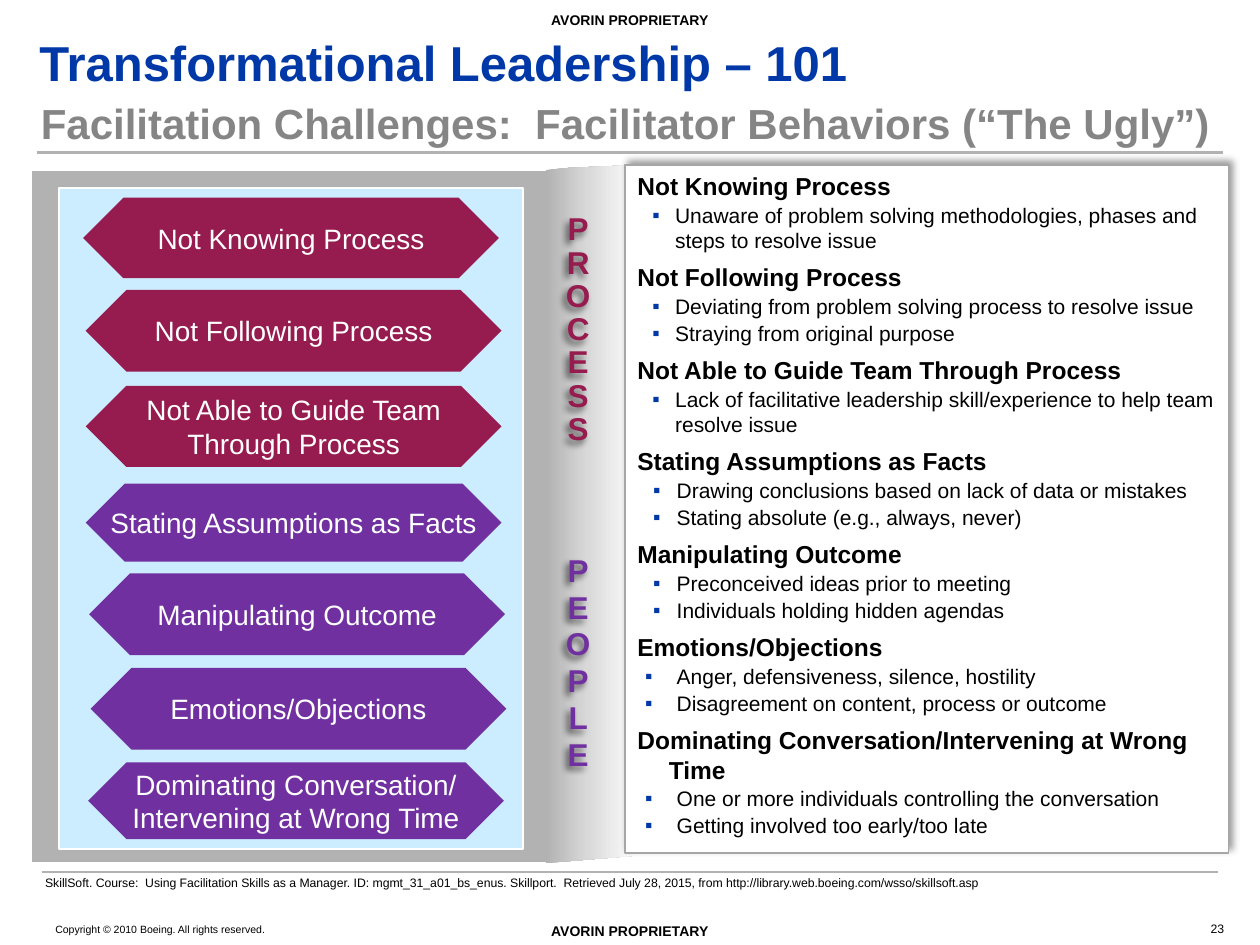
import copy
from dataclasses import dataclass

import pptx
import pptx.dml.color
import pptx.enum.shapes
import pptx.enum.text
import pptx.oxml
import pptx.oxml.ns
import pptx.util

Pt = pptx.util.Pt
ALIGN = pptx.enum.text.PP_ALIGN
ANCHOR = pptx.enum.text.MSO_ANCHOR
SHAPE = pptx.enum.shapes.MSO_SHAPE
qn = pptx.oxml.ns.qn
NAMESPACE = pptx.oxml.ns.nsdecls("a")


@dataclass(frozen=True)
class Theme:
    font: str = "Arial"
    black: str = "000000"
    white: str = "FFFFFF"
    blue: str = "0038A8"
    title_gray: str = "858585"
    gray: str = "B2B2B2"
    light_gray: str = "D9D9D9"
    border_gray: str = "A6A6A6"
    pale_blue: str = "CCECFF"
    process: str = "961B4E"
    people: str = "7030A0"
    banner_size: float = 28
    title_size: float = 24
    letter_size: float = 18
    label_size: float = 16
    heading_size: float = 14
    bullet_size: float = 12
    marking_size: float = 8
    note_size: float = 7
    copyright_size: float = 6


def rgb(value):
    return pptx.dml.color.RGBColor.from_string(value)


class SlideBuilder:
    def __init__(self, slide, theme):
        self.slide = slide
        self.theme = theme

    def format_runs(self, paragraph, size, color, bold=False):
        for run in paragraph.runs:
            run.font.name = self.theme.font
            run.font.size = Pt(size)
            run.font.bold = bold
            run.font.color.rgb = rgb(color)

    def fill_text(self, shape, text, size, color, bold=False, align=ALIGN.LEFT,
                  anchor=ANCHOR.TOP, margins=(1, 1), wrap=True, spacing=None):
        """Set and format text; margins are (horizontal, vertical)."""
        frame = shape.text_frame
        frame.text = text
        frame.word_wrap = wrap
        frame.auto_size = pptx.enum.text.MSO_AUTO_SIZE.NONE
        frame.vertical_anchor = anchor
        frame.margin_left = frame.margin_right = Pt(margins[0])
        frame.margin_top = frame.margin_bottom = Pt(margins[1])
        for paragraph in frame.paragraphs:
            paragraph.alignment = align
            paragraph.line_spacing = spacing
            self.format_runs(paragraph, size, color, bold)

    def title(self, box, text):
        shape = self.slide.shapes.title
        shape.left, shape.top, shape.width, shape.height = map(Pt, box)
        self.fill_text(shape, text, self.theme.title_size, self.theme.title_gray,
                       bold=True, spacing=0.9)

    def text(self, box, text, size, color, **options):
        shape = self.slide.shapes.add_textbox(*map(Pt, box))
        self.fill_text(shape, text, size, color, **options)
        return shape

    def shape(self, kind, box, fill, line=None, line_width=1):
        shape = self.slide.shapes.add_shape(kind, *map(Pt, box))
        shape.shadow.inherit = False
        shape.fill.solid()
        shape.fill.fore_color.rgb = rgb(fill)
        if line:
            shape.line.color.rgb = rgb(line)
            shape.line.width = Pt(line_width)
        else:
            shape.line.fill.background()
        return shape

    def rule(self, left, right, y, width):
        connector = self.slide.shapes.add_connector(
            pptx.enum.shapes.MSO_CONNECTOR.STRAIGHT, Pt(left), Pt(y), Pt(right), Pt(y))
        connector.line.color.rgb = rgb(self.theme.gray)
        connector.line.width = Pt(width)
        connector.element.spPr.append(pptx.oxml.parse_xml(f"<a:effectLst {NAMESPACE}/>"))

    def shadow(self, shape, direction, opacity):
        shape.shadow.inherit = False
        shape.element.spPr.find(qn("a:effectLst")).append(pptx.oxml.parse_xml(
            f'<a:outerShdw {NAMESPACE} blurRad="{Pt(4)}" dist="{Pt(3)}" '
            f'dir="{direction * 60000}" algn="ctr" rotWithShape="0">'
            f'<a:srgbClr val="{self.theme.black}"><a:alpha val="{opacity * 1000}"/>'
            "</a:srgbClr></a:outerShdw>"))

    def label(self, box, text, fill):
        """Draw a banner pointed at both ends."""
        shape = self.shape(SHAPE.HEXAGON, box, fill)
        shape.adjustments[0] = 0.5
        self.fill_text(shape, text, self.theme.label_size, self.theme.white,
                       align=ALIGN.CENTER, anchor=ANCHOR.MIDDLE, margins=(0, 0), wrap=False)

    def gradient_outline(self, points, stops):
        """Draw a closed outline shaded left to right by (position, color) stops."""
        builder = self.slide.shapes.build_freeform(*map(Pt, points[0]))
        builder.add_line_segments([tuple(map(Pt, point)) for point in points[1:]])
        shape = builder.convert_to_shape()
        shape.shadow.inherit = False
        shape.line.fill.background()
        shape.fill.gradient()
        shape.fill.gradient_angle = 0
        stop_list = shape.element.spPr.find(".//" + qn("a:gsLst"))
        stop_list.append(copy.deepcopy(stop_list[0]))
        for stop, (position, color) in zip(shape.fill.gradient_stops, stops):
            stop.position = position
            stop.color.rgb = rgb(color)

    def letters(self, box, word, color, spacing):
        shape = self.text(box, "\n".join(word), self.theme.letter_size, color, bold=True,
                          align=ALIGN.CENTER, margins=(7.2, 3.6), wrap=False,
                          spacing=Pt(spacing))
        self.shadow(shape, 135, 60)

    def indent(self, paragraph, left, hanging):
        properties = paragraph._p.get_or_add_pPr()
        properties.set("marL", str(Pt(left)))
        properties.set("indent", str(Pt(-hanging)))
        return properties

    def panel(self, box, sections):
        """List (heading, text indent, hanging indent, bullets) sections."""
        theme = self.theme
        shape = self.shape(SHAPE.RECTANGLE, box, theme.white, theme.border_gray, 0.75)
        self.shadow(shape, 315, 40)
        lines = [line for heading, _, _, bullets in sections for line in (heading, *bullets)]
        self.fill_text(shape, "\n".join(lines), theme.bullet_size, theme.black,
                       margins=(7.2, 3.6))
        paragraphs = iter(shape.text_frame.paragraphs)
        for number, (_, left, hanging, bullets) in enumerate(sections):
            heading = next(paragraphs)
            self.format_runs(heading, theme.heading_size, theme.black, bold=True)
            self.indent(heading, 18, 18)
            if number:
                heading.space_before = Pt(5.5)
            for _ in bullets:
                paragraph = next(paragraphs)
                paragraph.level = 1
                paragraph.space_before = Pt(1)
                properties = self.indent(paragraph, left, hanging)
                for xml in (f'<a:buClr {NAMESPACE}><a:srgbClr val="{theme.blue}"/></a:buClr>',
                            f'<a:buFont {NAMESPACE} typeface="{theme.font}"/>',
                            f'<a:buChar {NAMESPACE} char="▪"/>'):
                    properties.append(pptx.oxml.parse_xml(xml))


def main():
    theme = Theme()
    presentation = pptx.Presentation()
    presentation.slide_width, presentation.slide_height = Pt(720), Pt(540)
    builder = SlideBuilder(presentation.slides.add_slide(presentation.slide_layouts[5]), theme)

    builder.rule(21, 699, 87.2, 2)
    builder.rule(24, 696, 498.2, 1.5)
    for top in (5.8, 526.4):
        builder.text((313, top, 94, 11), "AVORIN PROPRIETARY", theme.marking_size, theme.black,
                     bold=True, align=ALIGN.CENTER, wrap=False)
    builder.text((30.6, 526.6, 211, 9), "Copyright © 2010 Boeing. All rights reserved.",
                 theme.copyright_size, theme.black)
    builder.text((22.5, 18, 697, 34.6), "Transformational Leadership – 101", theme.banner_size,
                 theme.blue, bold=True, anchor=ANCHOR.MIDDLE, margins=(0, 0))
    builder.text((503, 522, 197.5, 17.3), "23", theme.note_size, theme.black,
                 align=ALIGN.RIGHT, anchor=ANCHOR.MIDDLE)
    builder.title((22.3, 57.8, 697.7, 35.3),
                  "Facilitation Challenges:  Facilitator Behaviors (“The Ugly”)")

    builder.shape(SHAPE.RECTANGLE, (18, 97.2, 295.2, 396), theme.gray, theme.white)
    builder.shape(SHAPE.RECTANGLE, (33.8, 107.3, 265, 378), theme.pale_blue, theme.white)
    labels = [
        (47.5, 113, 46, theme.process, "Not Knowing Process"),
        (49, 165.6, 46.8, theme.process, "Not Following Process"),
        (49, 220.6, 46.2, theme.process, "Not Able to Guide Team\vThrough Process"),
        (49, 276.4, 44.6, theme.people, "Stating Assumptions as Facts"),
        (51, 327.6, 46.8, theme.people, "Manipulating Outcome"),
        (51.8, 381.6, 46.8, theme.people, "Emotions/Objections"),
        (50.4, 435.6, 44, theme.people, "Dominating Conversation/\vIntervening at Wrong Time"),
    ]
    for left, top, height, color, text in labels:
        builder.label((left, top, 237.6, height), text, color)

    builder.gradient_outline(
        [(311.8, 97.2), (325, 96), (340, 95.3), (363.6, 94.3), (364.3, 488.9), (311.8, 493.2)],
        [(0, theme.gray), (0.46, theme.light_gray), (1, theme.white)])
    builder.panel((357.1, 94.3, 344.9, 393.1), [
        ("Not Knowing Process", 21.6, 13,
         ["Unaware of problem solving methodologies, phases and steps to resolve issue"]),
        ("Not Following Process", 21.6, 13,
         ["Deviating from problem solving process to resolve issue",
          "Straying from original purpose"]),
        ("Not Able to Guide Team Through Process", 21.6, 13,
         ["Lack of facilitative leadership skill/experience to help team resolve issue"]),
        ("Stating Assumptions as Facts", 22.5, 13.5,
         ["Drawing conclusions based on lack of data or mistakes",
          "Stating absolute (e.g., always, never)"]),
        ("Manipulating Outcome", 22.5, 13.5,
         ["Preconceived ideas prior to meeting", "Individuals holding hidden agendas"]),
        ("Emotions/Objections", 22.5, 18,
         ["Anger, defensiveness, silence, hostility",
          "Disagreement on content, process or outcome"]),
        ("Dominating Conversation/Intervening at Wrong Time", 22.5, 18,
         ["One or more individuals controlling the conversation",
          "Getting involved too early/too late"]),
    ])
    builder.text((18.7, 496.8, 701.3, 15.8),
                 "SkillSoft. Course:  Using Facilitation Skills as a Manager. "
                 "ID: mgmt_31_a01_bs_enus. Skillport.  Retrieved July 28, 2015, "
                 "from http://library.web.boeing.com/wsso/skillsoft.asp",
                 theme.note_size, theme.black, margins=(7.2, 3.6))
    builder.letters((316, 118.8, 28.8, 141.8), "PROCESS", theme.process, 19)
    builder.letters((316, 311.8, 28.8, 134.6), "PEOPLE", theme.people, 21)
    presentation.save("out.pptx")


if __name__ == "__main__":
    main()
